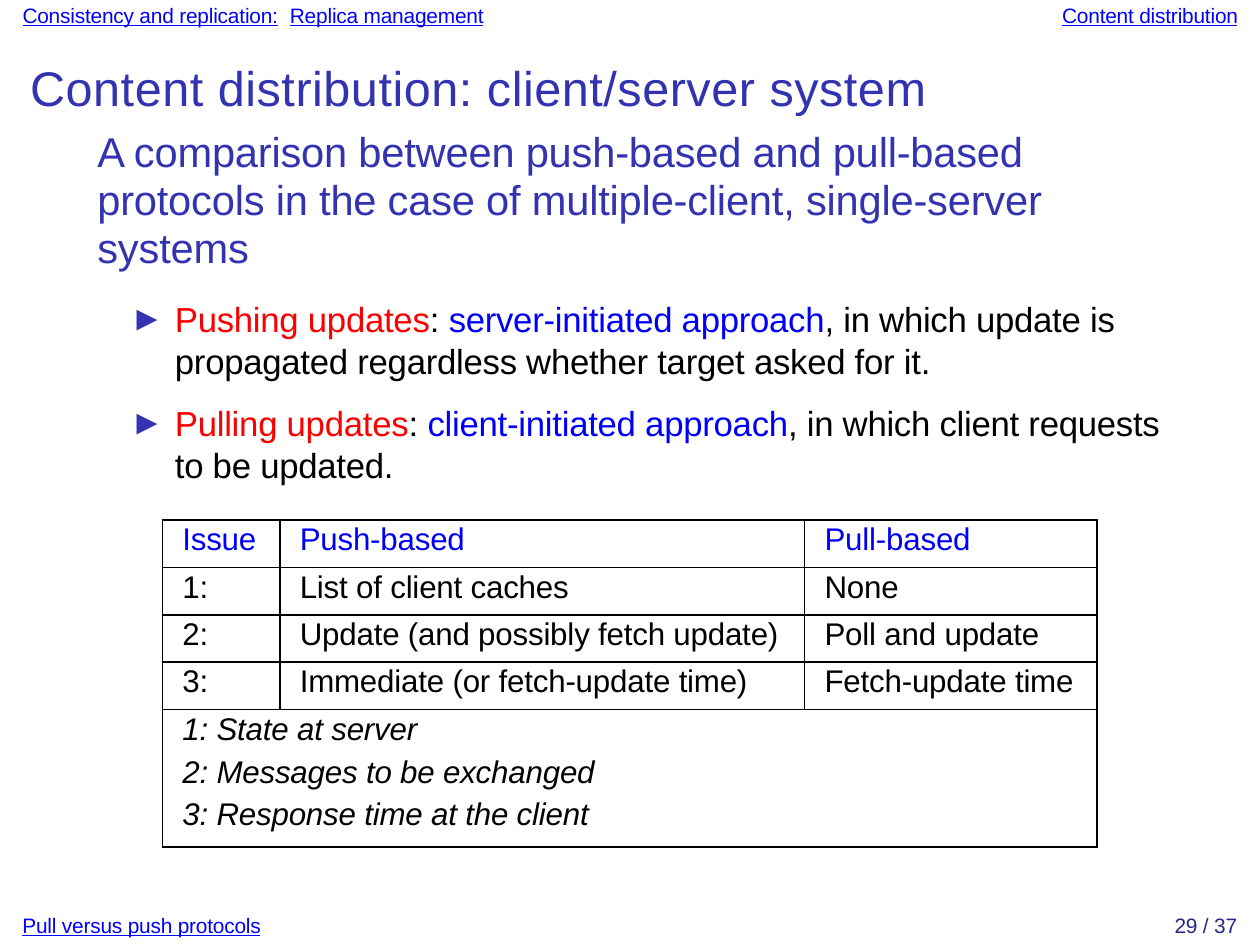
from lxml.etree import SubElement
from pptx import Presentation
from pptx.dml.color import RGBColor
from pptx.enum.text import MSO_ANCHOR, MSO_AUTO_SIZE, PP_ALIGN
from pptx.oxml.ns import qn
from pptx.util import Inches, Pt

THEME = {
    "font": "Arial",
    "colors": {"heading": "3333B2", "link": "0000FF", "page": "262685", "push_pull": "FA0000",
               "approach": "0000FA", "text": "000000", "background": "FFFFFF"},
    "sizes": {"navigation": 6, "title": 14, "lead": 12, "bullet": 10, "table": 9},
}

TITLE = "Content distribution: client/server system"
NAVIGATION = [
    {"box": (0.07, 0, 4.95, 0.13), "left": 0.02, "tabs": (1.07, 4.16), "runs": [
        ("Consistency and replication:", "link"), ("\t", "heading"),
        ("Replica management", "link"), ("\t", "heading"),
        ("Content distribution", "link")]},
    {"box": (0.07, 3.64, 1, 0.13), "left": 0.02, "tabs": (),
     "runs": [("Pull versus push protocols", "link")]},
    {"box": (4.66, 3.64, 0.31, 0.13), "left": 0.04, "tabs": (), "runs": [("29 / 37", "page")]},
]
LEAD = ("A comparison between push-based and pull-based protocols "
        "in the case of multiple-client, single-server systems")
BULLETS = [
    (7.5, "Pushing updates", "server-initiated approach",
     ", in which update is propagated regardless whether target asked for it."),
    (5.9, "Pulling updates", "client-initiated approach",
     ", in which client requests to be updated."),
]
COMPARISON = [
    ("Issue", "Push-based", "Pull-based"),
    ("1:", "List of client caches", "None"),
    ("2:", "Update (and possibly fetch update)", "Poll and update"),
    ("3:", "Immediate (or fetch-update time)", "Fetch-update time"),
]
ISSUES = ["1: State at server", "2: Messages to be exchanged", "3: Response time at the client"]
COLUMN_WIDTHS = (0.47, 2.1, 1.17)
ROW_HEIGHTS = (0.19,) * len(COMPARISON) + (0.55,)


def color(name):
    return RGBColor.from_string(THEME["colors"][name])


def apply(target, values):
    for name, value in values.items():
        setattr(target, name, value)


def set_frame(frame, left, top):
    apply(frame, {
        "margin_left": Inches(left), "margin_top": Inches(top),
        "margin_right": 0, "margin_bottom": 0, "word_wrap": True,
        "auto_size": MSO_AUTO_SIZE.NONE, "vertical_anchor": MSO_ANCHOR.TOP,
    })


def set_indent(paragraph, left, first=0):
    properties = paragraph._p.get_or_add_pPr()
    properties.set("marL", str(Inches(left)))
    properties.set("indent", str(Inches(first)))
    return properties


def add_tabs(paragraph, positions):
    tab_list = SubElement(paragraph._p.get_or_add_pPr(), qn("a:tabLst"))
    for position in positions:
        SubElement(tab_list, qn("a:tab"), pos=str(Inches(position)), algn="l")


def add_bullet(paragraph):
    properties = set_indent(paragraph, 0.34, -0.18)
    bullet_color = SubElement(properties, qn("a:buClr"))
    SubElement(bullet_color, qn("a:srgbClr"), val=THEME["colors"]["heading"])
    SubElement(properties, qn("a:buFont"), typeface=THEME["font"])
    SubElement(properties, qn("a:buChar"), char="►")


def write(paragraph, runs, size, spacing=-5, italic=False):
    for text, color_name in runs:
        run = paragraph.add_run()
        run.text = text
        apply(run.font, {"name": THEME["font"], "size": Pt(THEME["sizes"][size]), "bold": False,
                         "italic": italic, "underline": color_name == "link"})
        run.font.color.rgb = color(color_name)
        run._r.get_or_add_rPr().set("spc", str(spacing))


def add_text_box(slide, box, left, top):
    frame = slide.shapes.add_textbox(*map(Inches, box)).text_frame
    set_frame(frame, left, top)
    return frame


def add_title(slide):
    title = slide.shapes.title
    box = map(Inches, (0.1, 0.21, 3.7, 0.27))
    apply(title, dict(zip(("left", "top", "width", "height"), box)))
    set_frame(title.text_frame, 0.02, 0.02)
    paragraph = title.text_frame.paragraphs[0]
    apply(paragraph, {"alignment": PP_ALIGN.LEFT, "space_before": Pt(0)})
    write(paragraph, [(TITLE, "heading")], "title", spacing=14)


def add_body(slide):
    frame = add_text_box(slide, (0.36, 0.48, 4.31, 1.47), 0, 0.03)
    lead = frame.paragraphs[0]
    set_indent(lead, 0.03)
    lead.line_spacing = Pt(13.9)
    write(lead, [(LEAD, "heading")], "lead")
    for space, topic, approach, detail in BULLETS:
        paragraph = frame.add_paragraph()
        add_bullet(paragraph)
        paragraph.space_before = Pt(space)
        write(paragraph, [(topic, "push_pull"), (": ", "text"), (approach, "approach"), (detail, "text")],
              "bullet")


def format_cell(cell):
    apply(cell, {"margin_left": Inches(0.08), "margin_top": Inches(0.01),
                 "margin_right": 0, "margin_bottom": 0})
    properties = cell._tc.get_or_add_tcPr()
    for side in ("lnL", "lnR", "lnT", "lnB"):
        line = SubElement(properties, qn(f"a:{side}"), w=str(Pt(0.5)))
        line_fill = SubElement(line, qn("a:solidFill"))
        SubElement(line_fill, qn("a:srgbClr"), val=THEME["colors"]["text"])
    cell.fill.solid()
    cell.fill.fore_color.rgb = color("background")


def add_comparison(slide):
    box = (0.65, 2.08, sum(COLUMN_WIDTHS), sum(ROW_HEIGHTS))
    table = slide.shapes.add_table(len(ROW_HEIGHTS), len(COLUMN_WIDTHS), *map(Inches, box)).table
    apply(table, {"first_row": False, "horz_banding": False})
    for column, width in zip(table.columns, COLUMN_WIDTHS):
        column.width = Inches(width)
    for row, height in zip(table.rows, ROW_HEIGHTS):
        row.height = Inches(height)
    for cell in table.iter_cells():
        format_cell(cell)
    for row_index, labels in enumerate(COMPARISON):
        for column_index, label in enumerate(labels):
            paragraph = table.cell(row_index, column_index).text_frame.paragraphs[0]
            write(paragraph, [(label, "text" if row_index else "approach")], "table")
    last_row = len(COMPARISON)
    issue_cell = table.cell(last_row, 0)
    issue_cell.merge(table.cell(last_row, len(COLUMN_WIDTHS) - 1))
    frame = issue_cell.text_frame
    for index, issue in enumerate(ISSUES):
        paragraph = frame.add_paragraph() if index else frame.paragraphs[0]
        paragraph.line_spacing = 1.22 if index else 1.0
        write(paragraph, [(issue, "text")], "table", italic=True)


def main():
    presentation = Presentation()
    apply(presentation, {"slide_width": Pt(363), "slide_height": Pt(272.5)})
    slide = presentation.slides.add_slide(presentation.slide_layouts[5])
    for item in NAVIGATION:
        paragraph = add_text_box(slide, item["box"], item["left"], 0.01).paragraphs[0]
        if item["tabs"]:
            add_tabs(paragraph, item["tabs"])
        write(paragraph, item["runs"], "navigation")
    add_title(slide)
    add_body(slide)
    add_comparison(slide)
    presentation.save("out.pptx")


if __name__ == "__main__":
    main()
